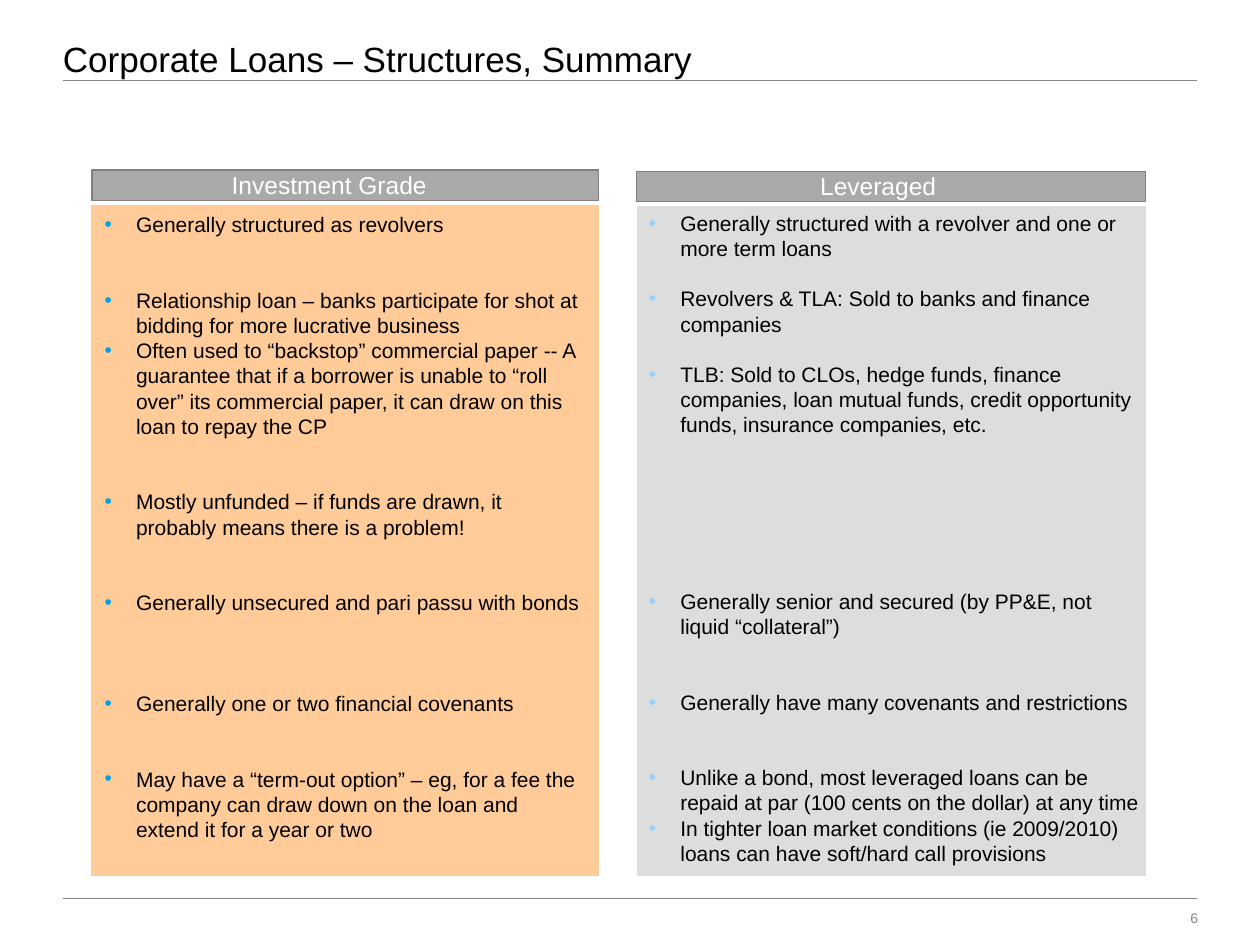
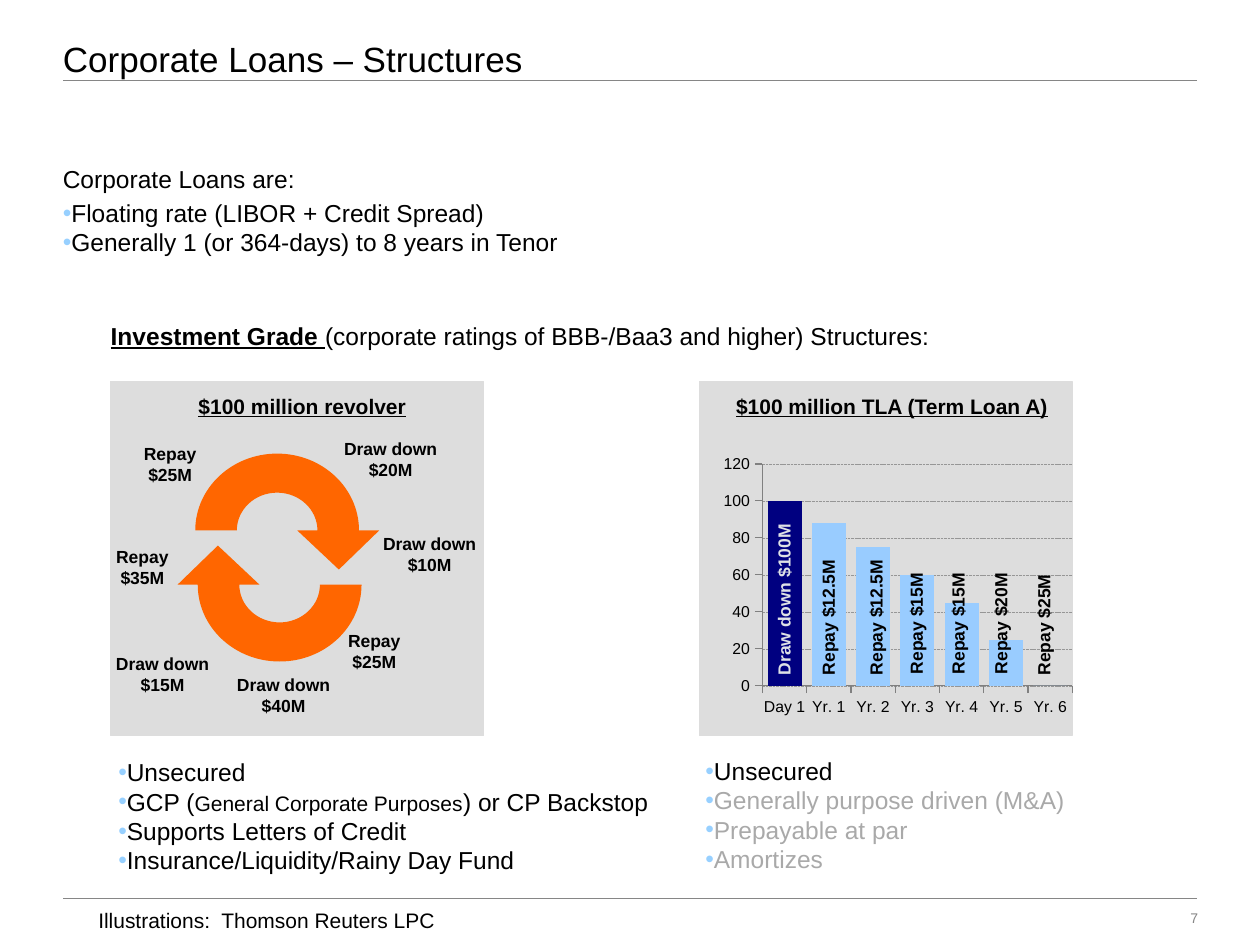
import math
from dataclasses import dataclass
from typing import NamedTuple, Optional, Sequence, Union

import pptx
import pptx.chart.data
import pptx.dml.color
import pptx.enum.chart
import pptx.enum.dml
import pptx.enum.shapes
import pptx.enum.text
import pptx.oxml
import pptx.oxml.ns
import pptx.util
from pptx.util import Inches

FONT = "Arial"
BLACK, WHITE = "000000", "FFFFFF"
RULE_GREY, PANEL_GREY, HEADER_GREY, AXIS_GREY = "868686", "DDDDDD", "A9A9A9", "808080"
PEACH, ORANGE, NAVY, SKY = "FFCC99", "FF6600", "000080", "99CCFF"
BULLET_BLUE, BULLET_LIGHT = "00A1E2", "97D0FF"
PALE_TEXT, GRID_GREY = "DEE1E6", "969696"

LINE_12, LINE_14 = 14.4, 16.8  # drawn line heights in points
LEFT, CENTER, RIGHT = (pptx.enum.text.PP_ALIGN.LEFT, pptx.enum.text.PP_ALIGN.CENTER,
                       pptx.enum.text.PP_ALIGN.RIGHT)
TOP, MIDDLE = pptx.enum.text.MSO_ANCHOR.TOP, pptx.enum.text.MSO_ANCHOR.MIDDLE
NO_INSETS = (0, 0, 0, 0)
TEXT_INSETS = (0.1, 0.05, 0.1, 0.05)


class Box(NamedTuple):
    left: float
    top: float
    width: float
    height: float


@dataclass(frozen=True)
class Run:
    text: str
    size: Optional[float] = None
    color: Optional[str] = None
    bold: Optional[bool] = None
    underline: Optional[bool] = None


@dataclass(frozen=True)
class Paragraph:
    runs: Union[str, Sequence[Run]]
    before: float = 0
    after: float = 0
    bullet: Optional[str] = None
    margin: float = 0
    indent: float = 0


class Item(NamedTuple):
    """A bullet with the number of free lines above it."""
    free_lines: int
    text: str


class Column(NamedTuple):
    heading: str
    header: Box
    panel: Box
    text_box: Box
    fill: str
    bullet: str
    items: Sequence[Item]


class Label(NamedTuple):
    text: str
    center_x: float
    center_y: float
    width: float
    color: str = BLACK


COLUMNS = [
    Column("Investment Grade ", Box(0.73, 1.35, 4.02, 0.24), Box(0.73, 1.63, 4.02, 5.32),
           Box(0.83, 1.68, 3.82, 5.05), PEACH, BULLET_BLUE, [
        Item(0, "Generally structured as revolvers"),
        Item(2, "Relationship loan – banks participate for shot at bidding for more "
                "lucrative business"),
        Item(0, "Often used to “backstop” commercial paper -- A guarantee that if a borrower "
                "is unable to “roll over” its commercial paper, it can draw on this loan to "
                "repay the CP"),
        Item(2, "Mostly unfunded – if funds are drawn, it probably means there is a problem!"),
        Item(2, "Generally unsecured and pari passu with bonds"),
        Item(3, "Generally one or two financial covenants"),
        Item(2, "May have a “term-out option” – eg, for a fee the company can draw down on "
                "the loan and extend it for a year or two"),
    ]),
    Column("Leveraged", Box(5.05, 1.36, 4.04, 0.24), Box(5.06, 1.64, 4.03, 5.31),
           Box(5.15, 1.67, 3.93, 5.2), PANEL_GREY, BULLET_LIGHT, [
        Item(0, "Generally structured with a revolver and one or more term loans"),
        Item(1, "Revolvers & TLA: Sold to banks and finance companies"),
        Item(1, "TLB: Sold to CLOs, hedge funds, finance companies, loan mutual funds, "
                "credit opportunity funds, insurance companies, etc."),
        Item(6, "Generally senior and secured (by PP&E, not liquid “collateral”)"),
        Item(2, "Generally have many covenants and restrictions"),
        Item(2, "Unlike a bond, most leveraged loans can be repaid at par (100 cents on the "
                "dollar) at any time"),
        Item(0, "In tighter loan market conditions (ie 2009/2010) loans can have soft/hard "
                "call provisions"),
    ]),
]

REVOLVER_LABELS = [
    Label("Draw down\n$20M", 3.1, 3.64, 0.96),
    Label("Draw down\n$10M", 3.41, 4.4, 0.96),
    Label("Repay\n$25M", 2.97, 5.17, 0.63),
    Label("Draw down\n$40M", 2.25, 5.52, 0.96),
    Label("Draw down\n$15M", 1.29, 5.35, 0.96),
    Label("Repay\n$35M", 1.13, 4.5, 0.63),
    Label("Repay\n$25M", 1.35, 3.68, 0.63),
]
BAR_LABELS = [
    Label("Draw down $100M", 6.22, 4.76, 1.44, PALE_TEXT),
    Label("Repay $12.5M", 6.57, 4.9, 1.14),
    Label("Repay $12.5M", 6.95, 4.9, 1.14),
    Label("Repay $15M", 7.27, 4.95, 1.06),
    Label("Repay $15M", 7.6, 4.95, 1.06),
    Label("Repay $20M", 7.94, 4.95, 1.02),
    Label("Repay $25M", 8.28, 4.96, 1.02),
]
LOAN_BALANCE = {"Day 1": 100, "Yr. 1": 88, "Yr. 2": 75, "Yr. 3": 60,
                "Yr. 4": 45, "Yr. 5": 25, "Yr. 6": 0}


def rgb(color: str) -> pptx.dml.color.RGBColor:
    return pptx.dml.color.RGBColor.from_string(color)


def inches(box: Box) -> list:
    return [Inches(value) for value in box]


def add_bullet(paragraph, color: str) -> None:
    properties = paragraph._p.get_or_add_pPr()
    namespace = pptx.oxml.ns.nsdecls("a")
    for xml in (f'<a:buClr {namespace}><a:srgbClr val="{color}"/></a:buClr>',
                f'<a:buFont {namespace} typeface="{FONT}"/>',
                f'<a:buChar {namespace} char="•"/>'):
        properties.append(pptx.oxml.parse_xml(xml))


def write_text(shape, text, *, size: float, color: str = BLACK, bold: bool = False,
               underline: bool = False, align=LEFT, anchor=TOP, insets=NO_INSETS,
               wrap: bool = True) -> None:
    """Fill a shape with a string, one paragraph a line, or with Paragraph records."""
    frame = shape.text_frame
    frame.word_wrap = wrap
    frame.vertical_anchor = anchor
    (frame.margin_left, frame.margin_top,
     frame.margin_right, frame.margin_bottom) = (Inches(inset) for inset in insets)
    records = [Paragraph(line) for line in text.split("\n")] if isinstance(text, str) else text
    for index, record in enumerate(records):
        paragraph = frame.add_paragraph() if index else frame.paragraphs[0]
        paragraph.alignment = align
        paragraph.space_before = pptx.util.Pt(record.before)
        paragraph.space_after = pptx.util.Pt(record.after)
        properties = paragraph._p.get_or_add_pPr()
        properties.set("marL", str(Inches(record.margin)))
        properties.set("indent", str(Inches(record.indent)))
        if record.bullet:
            add_bullet(paragraph, record.bullet)
        runs = [Run(record.runs)] if isinstance(record.runs, str) else record.runs
        for item in runs:
            run = paragraph.add_run()
            run.text = item.text
            run.font.name = FONT
            run.font.size = pptx.util.Pt(item.size or size)
            run.font.color.rgb = rgb(item.color or color)
            run.font.bold = bold if item.bold is None else item.bold
            run.font.underline = underline if item.underline is None else item.underline


def add_text(slide, box: Box, text, **text_format):
    shape = slide.shapes.add_textbox(*inches(box))
    write_text(shape, text, **text_format)
    return shape


def add_label(slide, label: Label, *, size: float = 10, height: float = 0.44,
              rotation: float = 0, underline: bool = False) -> None:
    box = Box(label.center_x - label.width / 2, label.center_y - height / 2,
              label.width, height)
    shape = add_text(slide, box, label.text, size=size, color=label.color, bold=True,
                     underline=underline, align=CENTER, anchor=MIDDLE, insets=TEXT_INSETS,
                     wrap=False)
    shape.rotation = rotation


def add_panel(slide, box: Box, fill: str, line: Optional[str] = None):
    shape = slide.shapes.add_shape(pptx.enum.shapes.MSO_SHAPE.RECTANGLE, *inches(box))
    shape.shadow.inherit = False
    shape.fill.solid()
    shape.fill.fore_color.rgb = rgb(fill)
    shape.line.color.rgb = rgb(line or fill)
    shape.line.width = pptx.util.Pt(0.75)
    return shape


def add_rule(slide, top: float) -> None:
    rule = slide.shapes.add_connector(pptx.enum.shapes.MSO_CONNECTOR.STRAIGHT,
                                      Inches(0.5), Inches(top), Inches(9.5), Inches(top))
    rule.line.color.rgb = rgb(RULE_GREY)
    rule.line.width = pptx.util.Pt(1)
    rule._element.spPr.append(
        pptx.oxml.parse_xml(f'<a:effectLst {pptx.oxml.ns.nsdecls("a")}/>'))


def add_framed_slide(presentation, title: str, number: int):
    """Add a slide with the shared rules, title and page number."""
    slide = presentation.slides.add_slide(presentation.slide_layouts[6])
    for top in (0.64, 7.13):
        add_rule(slide, top)
    add_text(slide, Box(0.5, 0.3, 9, 0.34), title, size=20)
    add_text(slide, Box(9.01, 7.22, 0.5, 0.13), str(number), size=8, color=RULE_GREY,
             align=RIGHT)
    return slide


def add_column(slide, column: Column) -> None:
    add_panel(slide, column.panel, column.fill)
    header = add_panel(slide, column.header, HEADER_GREY, AXIS_GREY)
    write_text(header, column.heading, size=14, color=WHITE, align=CENTER,
               insets=(0, 0, 0.2, 0))
    paragraphs = [Paragraph(item.text, before=item.free_lines * LINE_12, bullet=column.bullet,
                            margin=0.25, indent=-0.25) for item in column.items]
    add_text(slide, column.text_box, paragraphs, size=12)


def half_ellipse(radius_x: float, radius_y: float) -> list:
    """Return start, controls and ends of two curves over the top, from x to -x."""
    pull = 4 / 3 * math.tan(math.pi / 8)
    unit = [(1, 0), (1, -pull), (pull, -1), (0, -1), (-pull, -1), (-1, -pull), (-1, 0)]
    return [(radius_x * x, radius_y * y) for x, y in unit]


def bend_segments(shape, starts: Sequence[int]) -> None:
    """Turn each three line segments from the given indexes into one Bezier curve."""
    segments = list(shape._element.iter(pptx.oxml.ns.qn("a:lnTo")))
    for start in starts:
        curve = pptx.oxml.parse_xml(f'<a:cubicBezTo {pptx.oxml.ns.nsdecls("a")}/>')
        segments[start].addprevious(curve)
        for segment in segments[start:start + 3]:
            curve.append(segment[0])
            segment.getparent().remove(segment)


def add_cycle_arrow(slide, center_x: float, center_y: float, direction: int) -> None:
    """Draw a half ring ending in an arrowhead; direction -1 turns it by 180 degrees."""
    inner, outer = half_ellipse(0.32, 0.3), half_ellipse(0.65, 0.61)[::-1]
    head = [(0.81, 0), (0.49, 0.31), (0.16, 0)]
    points = [(Inches(center_x + direction * x), Inches(center_y + direction * y))
              for x, y in inner + outer + head]
    builder = slide.shapes.build_freeform(*points[0])
    builder.add_line_segments(points[1:], close=True)
    arrow = builder.convert_to_shape()
    bend_segments(arrow, (0, 3, 7, 10))
    arrow.shadow.inherit = False
    arrow.fill.solid()
    arrow.fill.fore_color.rgb = rgb(ORANGE)
    arrow.line.fill.background()


def set_plot_layout(chart, x: float, y: float, width: float, height: float) -> None:
    plot_area = chart._chartSpace.chart.plotArea
    for layout in plot_area.findall(pptx.oxml.ns.qn("c:layout")):
        plot_area.remove(layout)
    settings = {"layoutTarget": "inner", "xMode": "edge", "yMode": "edge",
                "x": x, "y": y, "w": width, "h": height}
    children = "".join(f'<c:{name} val="{value}"/>' for name, value in settings.items())
    plot_area.insert(0, pptx.oxml.parse_xml(
        f'<c:layout {pptx.oxml.ns.nsdecls("c")}><c:manualLayout>{children}'
        f'</c:manualLayout></c:layout>'))


def add_balance_chart(slide, box: Box) -> None:
    data = pptx.chart.data.CategoryChartData()
    data.categories = list(LOAN_BALANCE)
    data.add_series("Series 1", list(LOAN_BALANCE.values()))
    chart = slide.shapes.add_chart(pptx.enum.chart.XL_CHART_TYPE.COLUMN_CLUSTERED,
                                   *inches(box), data).chart
    chart.has_legend = chart.has_title = False
    chart.font.name = FONT
    chart.font.size = pptx.util.Pt(9)
    chart.font.color.rgb = rgb(BLACK)
    set_plot_layout(chart, 0.124, 0.13, 0.823, 0.67)
    for axis in (chart.category_axis, chart.value_axis):
        axis.major_tick_mark = pptx.enum.chart.XL_TICK_MARK.OUTSIDE
        axis.format.line.color.rgb = rgb(AXIS_GREY)
        axis.format.line.width = pptx.util.Pt(0.75)
    values = chart.value_axis
    values.minimum_scale, values.maximum_scale, values.major_unit = 0, 120, 20
    grid = values.major_gridlines.format.line
    grid.color.rgb = rgb(GRID_GREY)
    grid.width = pptx.util.Pt(0.19)
    grid.dash_style = pptx.enum.dml.MSO_LINE.SQUARE_DOT
    plot = chart.plots[0]
    plot.gap_width = 30
    plot.vary_by_categories = False
    series = plot.series[0]
    for bar, color in ((series, SKY), (series.points[0], NAVY)):
        bar.format.fill.solid()
        bar.format.fill.fore_color.rgb = rgb(color)


def flush_bullet(runs) -> Paragraph:
    return Paragraph(runs, bullet=BULLET_LIGHT, indent=-0.31)


def build_summary(presentation) -> None:
    slide = add_framed_slide(presentation, "Corporate Loans – Structures, Summary", 6)
    for column in COLUMNS:
        add_column(slide, column)


def build_structures(presentation) -> None:
    slide = add_framed_slide(presentation, "Corporate Loans – Structures", 7)
    introduction = [
        Paragraph("Corporate Loans are:", after=2.8),
        flush_bullet("Floating rate (LIBOR + Credit Spread)"),
        flush_bullet("Generally 1 (or 364-days) to 8 years in Tenor"),
        Paragraph([Run("Investment Grade ", bold=True, underline=True),
                   Run("(corporate ratings of BBB-/Baa3 and higher) Structures:")],
                  before=2 * LINE_14 + 2.8, margin=0.38),
    ]
    add_text(slide, Box(0.4, 1.25, 9.08, 1.61), introduction, size=14, insets=TEXT_INSETS)

    for left in (0.88, 5.55):
        add_panel(slide, Box(left, 3.03, 2.96, 2.81), PANEL_GREY)
    for title in (Label("$100 million revolver", 2.4, 3.22, 1.9),
                  Label("$100 million TLA (Term Loan A)", 7.08, 3.22, 2.7)):
        add_label(slide, title, size=12, height=0.3, underline=True)

    add_cycle_arrow(slide, 2.2, 4.21, 1)
    add_cycle_arrow(slide, 2.22, 4.64, -1)
    for label in REVOLVER_LABELS:
        add_label(slide, label)

    add_balance_chart(slide, Box(5.68, 3.34, 2.99, 2.63))
    for label in BAR_LABELS:
        add_label(slide, label, height=0.27, rotation=270)

    revolver_features = ["Unsecured",
                         [Run("GCP ("), Run("General Corporate Purposes", size=12),
                          Run(") or CP Backstop")],
                         "Supports Letters of Credit", "Insurance/Liquidity/Rainy Day Fund"]
    term_loan_features = ["Unsecured"] + [
        [Run(text, color=HEADER_GREY)]
        for text in ("Generally purpose driven (M&A)", "Prepayable at par", "Amortizes")]
    for box, features in ((Box(0.84, 5.96, 4.89, 1.04), revolver_features),
                          (Box(5.5, 5.95, 3.67, 1.06), term_loan_features)):
        add_text(slide, box, [flush_bullet(feature) for feature in features], size=14,
                 insets=TEXT_INSETS)
    add_text(slide, Box(0.78, 7.2, 3.22, 0.2), "Illustrations:  Thomson Reuters LPC", size=12)


def main() -> None:
    presentation = pptx.Presentation()
    presentation.slide_width, presentation.slide_height = Inches(10), Inches(7.5)
    build_summary(presentation)
    build_structures(presentation)
    presentation.save("out.pptx")


if __name__ == "__main__":
    main()
